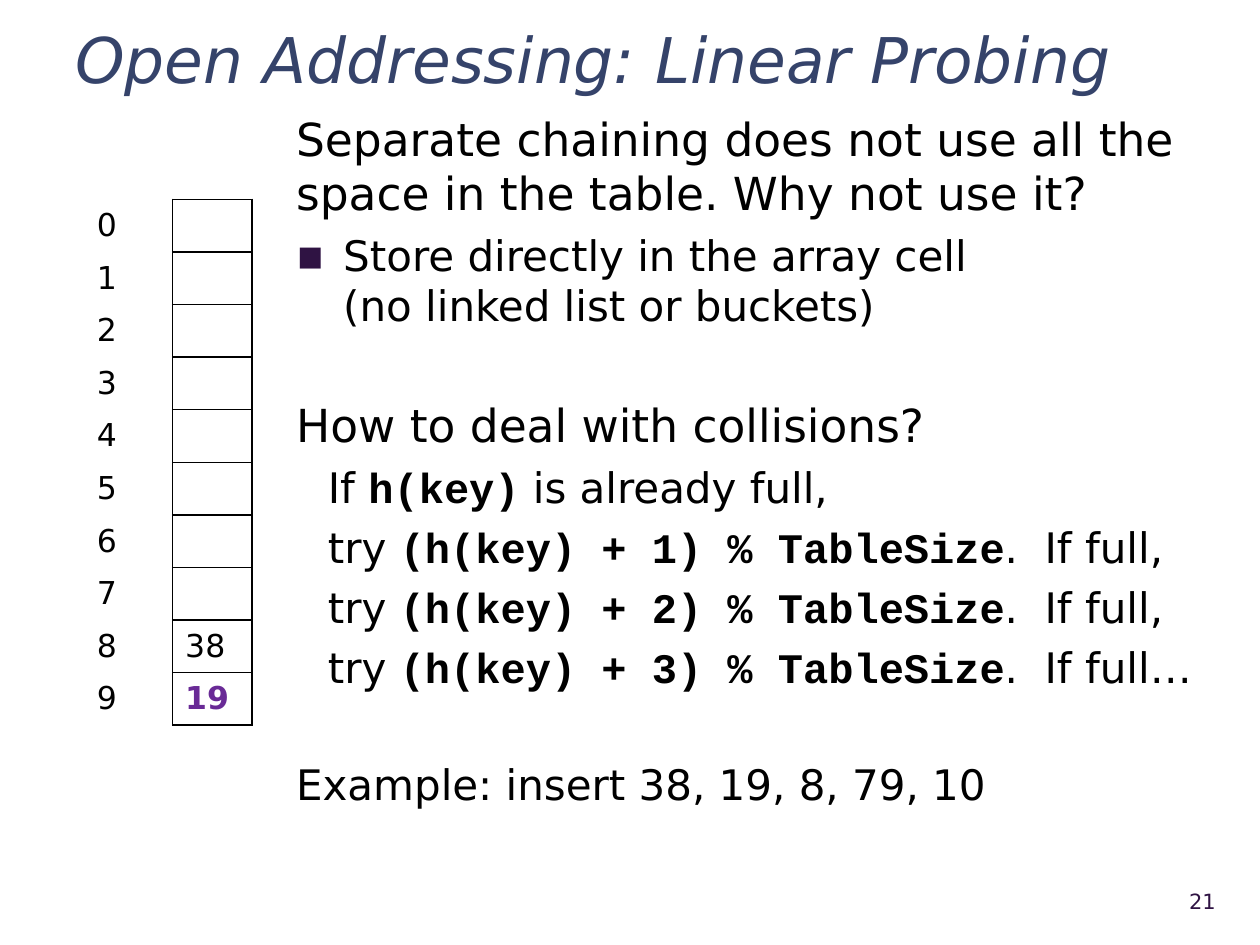
from lxml.etree import SubElement
from pptx import Presentation
from pptx.dml.color import RGBColor
from pptx.enum.text import MSO_ANCHOR, PP_ALIGN
from pptx.oxml import parse_xml
from pptx.oxml.ns import nsdecls, qn
from pptx.util import Cm, Pt

BLACK, NAVY, PLUM, PURPLE = "000000", "35436A", "2F1343", "692A96"
SANS, MONO = "DejaVu Sans", "Courier New"


def color(hex_value):
    return RGBColor.from_string(hex_value)


class SlideBuilder:
    def __init__(self, deck):
        self.slide = deck.slides.add_slide(deck.slide_layouts[6])

    def text_box(self, left, top, width, height, anchor=MSO_ANCHOR.TOP):
        shape = self.slide.shapes.add_textbox(Cm(left), Cm(top), Cm(width), Cm(height))
        frame = shape.text_frame
        frame.word_wrap = True
        frame.vertical_anchor = anchor
        return frame

    def paragraph(self, frame, before=0, indent=0, bullet=None):
        """Return the frame's unused first paragraph, or a new one; indent is in cm."""
        para = frame.paragraphs[0]
        if para.runs:
            para = frame.add_paragraph()
        properties = para._p.get_or_add_pPr()
        properties.set("marL", str(Cm(indent)))
        properties.set("indent", str(-Cm(indent) if bullet else 0))
        if bullet:
            tint = SubElement(properties, qn("a:buClr"))
            SubElement(tint, qn("a:srgbClr"), val=PLUM)
            SubElement(properties, qn("a:buFont"), typeface=SANS)
            SubElement(properties, qn("a:buChar"), char=bullet)
        para.space_before = Pt(before)
        return para

    def span(self, para, text, size, font=SANS, ink=BLACK, bold=False, italic=False):
        run = para.add_run()
        run.text = text
        run.font.size = Pt(size)
        run.font.name = font
        run.font.bold = bold
        run.font.italic = italic
        run.font.color.rgb = color(ink)

    def borders(self, cell, sides):
        properties = cell._tc.get_or_add_tcPr()
        for position, side in enumerate(sides):
            properties.insert(position, parse_xml(
                f'<a:ln{side} {nsdecls("a")} w="12700"><a:solidFill>'
                f'<a:srgbClr val="{BLACK}"/></a:solidFill></a:ln{side}>'))

    def hash_table(self, left, top, column_widths, row_height, stored):
        """Draw index labels beside bordered slots; stored holds one value per slot."""
        count = len(stored)
        table = self.slide.shapes.add_table(
            count, 2, Cm(left), Cm(top), Cm(sum(column_widths)), Cm(row_height * count)).table
        table.first_row = table.horz_banding = False
        for column, width in zip(table.columns, column_widths):
            column.width = Cm(width)
        for index, value in enumerate(stored):
            table.rows[index].height = Cm(row_height)
            label, slot = table.cell(index, 0), table.cell(index, 1)
            for cell, text in ((label, str(index)), (slot, value)):
                cell.fill.background()
                cell.vertical_anchor = MSO_ANCHOR.MIDDLE
                if text:
                    newest = text == "19"
                    self.span(cell.text_frame.paragraphs[0], text, 18,
                              ink=PURPLE if newest else BLACK, bold=newest)
            self.borders(label, "R")
            self.borders(slot, "LRTB")


def main():
    deck = Presentation()
    deck.slide_width, deck.slide_height = Cm(25.4), Cm(19.05)
    builder = SlideBuilder(deck)

    title = builder.paragraph(builder.text_box(1.27, 0.43, 23.5, 1.35, MSO_ANCHOR.MIDDLE))
    title.line_spacing = 1.1
    builder.span(title, "Open Addressing: Linear Probing", 36, ink=NAVY, italic=True)

    body = builder.text_box(5.72, 2.11, 19.05, 15.24)
    gap, section_gap = 5.5, 38
    builder.span(builder.paragraph(body),
                 "Separate chaining does not use all the space in the table. Why not use it?", 26)
    point = builder.paragraph(body, gap, 0.95, "▪")
    builder.span(point, "Store directly in the array cell", 24)
    point.add_line_break()
    builder.span(point, "(no linked list or buckets)", 24)
    builder.span(builder.paragraph(body, section_gap), "How to deal with collisions?", 26)

    probes = [("If ", "h(key)", " is already full,")]
    for step, ending in enumerate((",", ",", "…"), start=1):
        probes.append(("try ", f"(h(key) + {step}) % TableSize", f".  If full{ending}"))
    for lead, code, tail in probes:
        probe = builder.paragraph(body, gap, 0.64)
        builder.span(probe, lead, 24)
        builder.span(probe, code, 24, font=MONO, bold=True)
        builder.span(probe, tail, 24)
    builder.span(builder.paragraph(body, section_gap), "Example: insert 38, 19, 8, 79, 10", 24)

    builder.hash_table(1.7, 4.02, (1.78, 1.6), 1.06, [""] * 8 + ["38", "19"])

    number = builder.paragraph(builder.text_box(22.58, 17.65, 2.18, 1.02, MSO_ANCHOR.MIDDLE))
    number.alignment = PP_ALIGN.RIGHT
    builder.span(number, "21", 12, ink=PLUM)

    deck.save("out.pptx")


if __name__ == "__main__":
    main()
